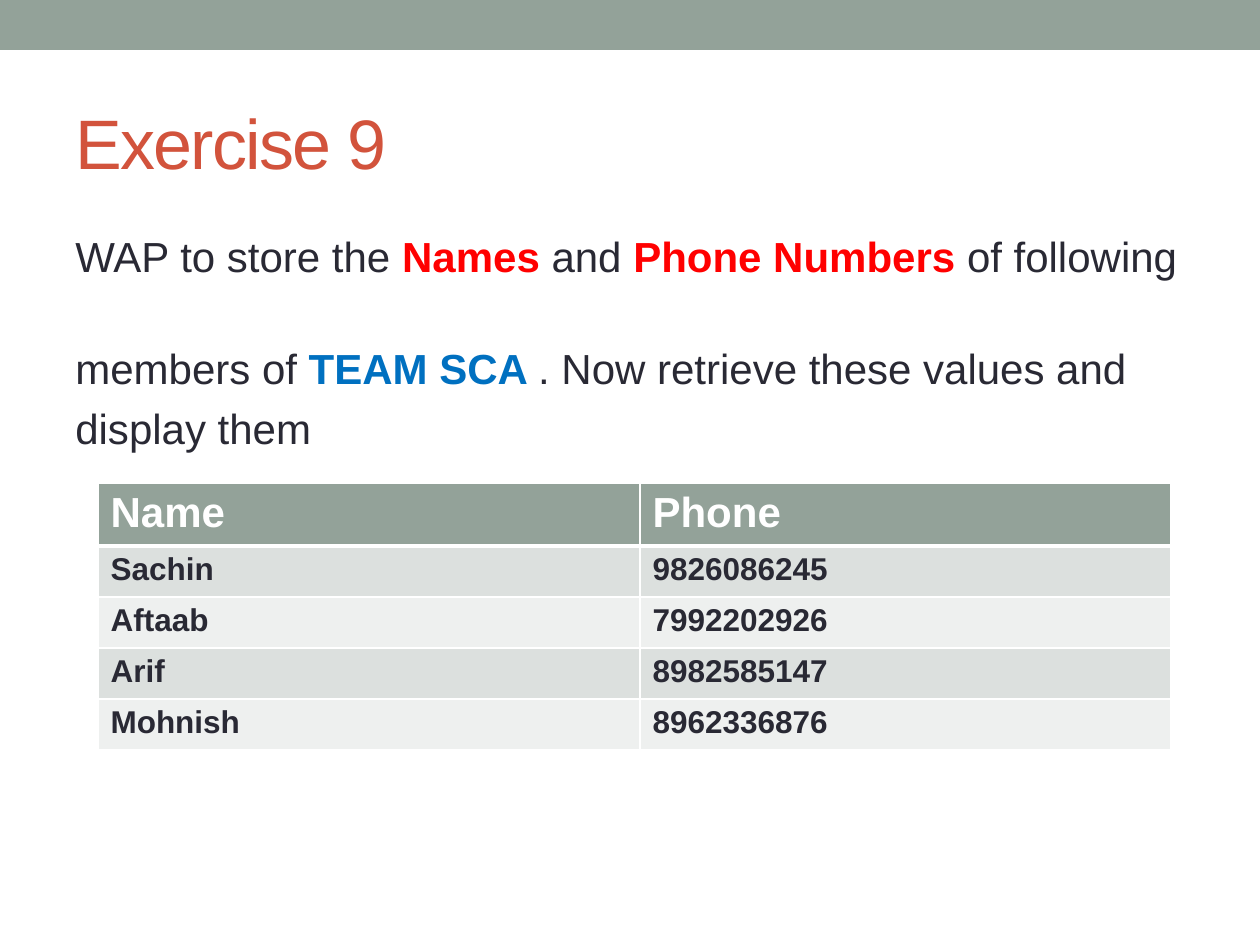
from dataclasses import dataclass
from pptx import Presentation
from pptx import util as u
from pptx.dml import color
from pptx.enum import shapes, text
from pptx.oxml import ns
from lxml import etree

SCALE = 914400 / 126
HUES = {"sage": "93A299", "rust": "D2533C", "ink": "292934", "red": "FF0000",
        "blue": "0070C0", "white": "FFFFFF", "dark": "DCE0DE", "pale": "EEF0EF"}


@dataclass
class Box:
    left: int
    top: int
    width: int
    height: int


@dataclass
class Run:
    words: str
    hue: str = "ink"
    bold: bool = False
    size: int = 24


@dataclass
class Line:
    runs: list[Run]
    before: float = 0


BAR = Box(0, 0, 1260, 50)
TITLE = Box(63, 73, 1134, 136)
BODY = Box(63, 224, 1134, 672)
GRID = Box(98, 483, 1073, 262)
COLS = [542, 531]
HEAD, ROW = 58, 51
LINES = [
    Line([Run("WAP to store the "), Run("Names", "red", True), Run(" and "),
          Run("Phone Numbers ", "red", True), Run("of following")]),
    Line([Run("members of "), Run("TEAM SCA ", "blue", True),
          Run(". Now retrieve these values and")], 35.2),
    Line([Run("display them")], 5.5),
]
ROWS = [("Name", "Phone"), ("Sachin", "9826086245"), ("Aftaab", "7992202926"),
        ("Arif", "8982585147"), ("Mohnish", "8962336876")]


def px(n: int) -> int:
    return round(n * SCALE)


def place(box: Box) -> list[int]:
    return [px(n) for n in (box.left, box.top, box.width, box.height)]


def tint(hue: str) -> color.RGBColor:
    return color.RGBColor.from_string(HUES[hue])


def paint(fill, hue: str) -> None:
    fill.solid()
    fill.fore_color.rgb = tint(hue)


def write(para, run: Run):
    item = para.add_run()
    item.text = run.words
    form = {"name": "Arial", "size": u.Pt(run.size), "bold": run.bold}
    for key, value in form.items():
        setattr(item.font, key, value)
    item.font.color.rgb = tint(run.hue)
    return item


def frame(slide, box: Box, anchor):
    area = slide.shapes.add_textbox(*place(box)).text_frame
    form = {"word_wrap": True, "vertical_anchor": anchor}
    for key, value in form.items():
        setattr(area, key, value)
    return area


def edge(cell, side: str, points: int) -> None:
    props = cell._tc.get_or_add_tcPr()
    line = etree.SubElement(props, ns.qn(f"a:ln{side}"), w=str(u.Pt(points)))
    fill = etree.SubElement(line, ns.qn("a:solidFill"))
    etree.SubElement(fill, ns.qn("a:srgbClr"), val=HUES["white"])


def draw_bar(slide) -> None:
    bar = slide.shapes.add_shape(shapes.MSO_SHAPE.RECTANGLE, *place(BAR))
    bar.shadow.inherit = False
    paint(bar.fill, "sage")
    bar.line.fill.background()


def draw_title(slide) -> None:
    area = frame(slide, TITLE, text.MSO_ANCHOR.MIDDLE)
    item = write(area.paragraphs[0], Run("Exercise 9", "rust", size=40))
    item.font._element.set("spc", "-100")


def draw_body(slide) -> None:
    area = frame(slide, BODY, text.MSO_ANCHOR.TOP)
    for i, line in enumerate(LINES):
        para = area.add_paragraph() if i else area.paragraphs[0]
        props = para._p.get_or_add_pPr()
        for key, value in {"marL": px(63), "indent": -px(63)}.items():
            props.set(key, str(value))
        if i:
            para.space_before = u.Pt(line.before)
        for run in line.runs:
            write(para, run)


def draw_grid(slide) -> None:
    grid = slide.shapes.add_table(len(ROWS), len(COLS), *place(GRID)).table
    for col, width in zip(grid.columns, COLS):
        col.width = px(width)
    for i, names in enumerate(ROWS):
        grid.rows[i].height = px(ROW if i else HEAD)
        back = ("pale", "dark")[i % 2] if i else "sage"
        for j, name in enumerate(names):
            cell = grid.cell(i, j)
            for side in "LRTB":
                thick = (i, side) in ((0, "B"), (1, "T"))
                edge(cell, side, 3 if thick else 1)
            paint(cell.fill, back)
            run = Run(name, "ink", True, 18) if i else Run(name, "white", True)
            write(cell.text_frame.paragraphs[0], run)


def main() -> None:
    deck = Presentation()
    deck.slide_width, deck.slide_height = px(1260), px(945)
    slide = deck.slides.add_slide(deck.slide_layouts[6])
    paint(slide.background.fill, "white")
    for draw in (draw_bar, draw_title, draw_body, draw_grid):
        draw(slide)
    deck.save("out.pptx")


if __name__ == "__main__":
    main()
